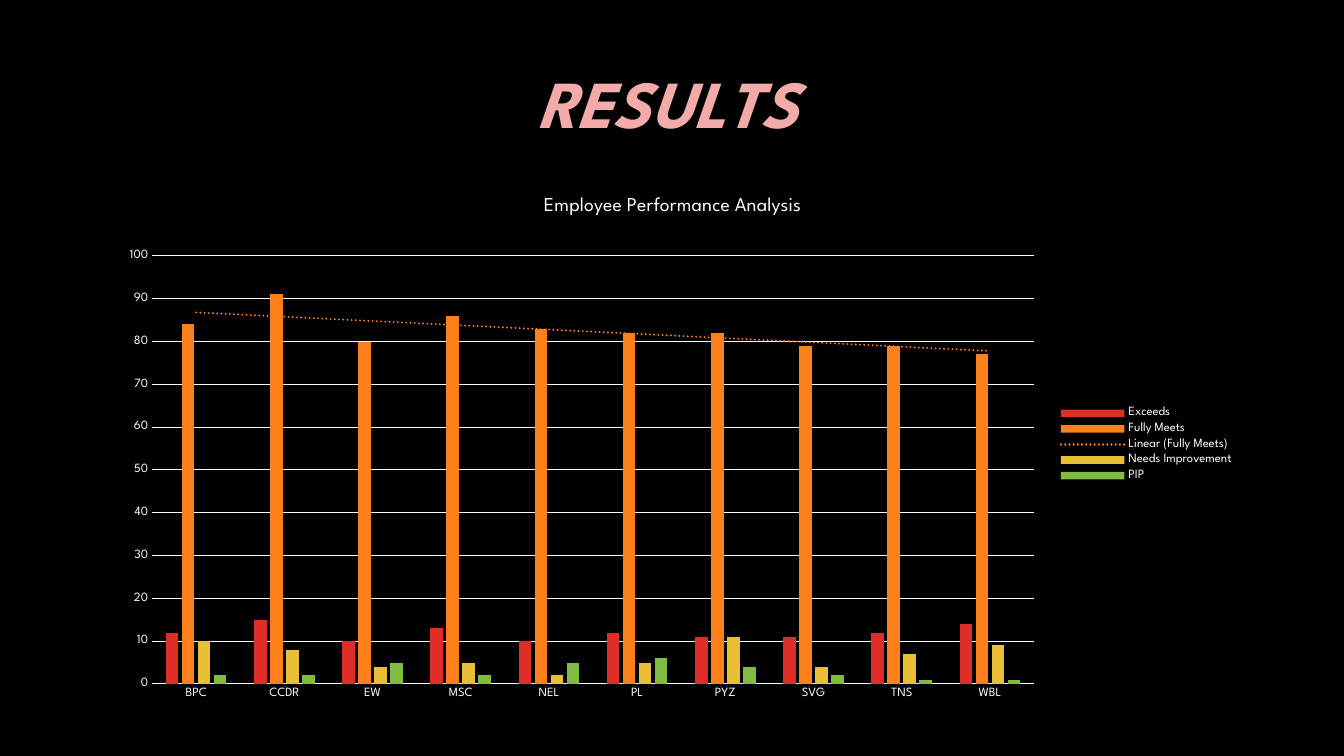
import pptx
import pptx.chart.data
import pptx.dml.color
import pptx.enum.chart
import pptx.enum.text
import pptx.oxml
import pptx.oxml.ns
import pptx.util

Pt = pptx.util.Pt
qn = pptx.oxml.ns.qn
xl = pptx.enum.chart
FACE = "League Spartan"
WHITE = "FFFFFF"
ORANGE = "FE801A"
AREA = (76.3, 127.4, 812.2, 380.2)
PLOT = (108.6, 182.9, 630, 305.7)
HEAD = (386, 137)

UNITS = ["BPC", "CCDR", "EW", "MSC", "NEL", "PL", "PYZ", "SVG", "TNS", "WBL"]
RATINGS = [
    ("Exceeds", "DF2E28", [12, 15, 10, 13, 10, 12, 11, 11, 12, 14]),
    ("Fully Meets", ORANGE, [84, 91, 80, 86, 83, 82, 82, 79, 79, 77]),
    ("Needs Improvement", "E9BF35", [10, 8, 4, 5, 2, 5, 11, 4, 7, 9]),
    ("PIP", "81BB42", [2, 2, 5, 2, 5, 6, 4, 2, 1, 1]),
]


def color(code):
    return pptx.dml.color.RGBColor.from_string(code)


def style(font, size, code=WHITE, bold=False, italic=False):
    font.name, font.size = FACE, Pt(size)
    font.bold, font.italic = bold, italic
    font.color.rgb = color(code)


def write(para, text, space=None, **look):
    """Add a run; space is the letter spacing in points."""
    run = para.add_run()
    run.text = text
    style(run.font, **look)
    if space is not None:
        run.font._element.set("spc", str(round(space * 100)))


def node(body):
    """Parse chart XML whose elements use the c and a prefixes."""
    tag, rest = body.split(">", 1)
    return pptx.oxml.parse_xml(f"{tag} {pptx.oxml.ns.nsdecls('c', 'a')}>{rest}")


def pin(owner, spot, box, inner=False):
    """Fix a chart part at a slide position given in points."""
    old = owner.find(qn("c:layout"))
    if old is not None:
        owner.remove(old)
    left, top, wide, high = AREA
    parts = [(box[0] - left) / wide, (box[1] - top) / high]
    parts += [size / full for size, full in zip(box[2:], (wide, high))]
    body = '<c:layoutTarget val="inner"/>' if inner else ""
    body += "".join(f'<c:{key}Mode val="edge"/>' for key in "xy")
    body += "".join(f'<c:{key} val="{part:.4f}"/>' for key, part in zip("xywh", parts))
    owner.insert(spot, node(f"<c:layout><c:manualLayout>{body}</c:manualLayout></c:layout>"))


class Deck:
    def __init__(self, back):
        self.file = pptx.Presentation()
        self.file.slide_width, self.file.slide_height = Pt(960), Pt(540)
        self.slide = self.file.slides.add_slide(self.file.slide_layouts[5])
        fill = self.slide.background.fill
        fill.solid()
        fill.fore_color.rgb = color(back)

    def title(self, box, parts, **look):
        shape = self.slide.shapes.title
        shape.left, shape.top, shape.width, shape.height = map(Pt, box)
        frame = shape.text_frame
        frame.word_wrap = True
        frame.auto_size = pptx.enum.text.MSO_AUTO_SIZE.NONE
        frame.vertical_anchor = pptx.enum.text.MSO_ANCHOR.BOTTOM
        para = frame.paragraphs[0]
        para.alignment = pptx.enum.text.PP_ALIGN.LEFT
        for text, space in parts:
            write(para, text, space, **look)

    def chart(self, head):
        data = pptx.chart.data.CategoryChartData()
        data.categories = UNITS
        for name, _, vals in RATINGS:
            data.add_series(name, vals)
        kind = xl.XL_CHART_TYPE.COLUMN_CLUSTERED
        chart = self.slide.shapes.add_chart(kind, *map(Pt, AREA), data).chart
        style(chart.font, 10)
        write(chart.chart_title.text_frame.paragraphs[0], head, size=14)
        chart.chart_title.include_in_layout = False
        pin(chart.chart_title._element, 1, HEAD)
        plot = chart.plots[0]
        plot.vary_by_categories = False
        plot.gap_width, plot.overlap = 219, -27
        pin(plot._element.getparent(), 0, PLOT, inner=True)
        for bars, (_, code, _) in zip(plot.series, RATINGS):
            bars.invert_if_negative = False
            bars.format.fill.solid()
            bars.format.fill.fore_color.rgb = color(code)
        self.trend(plot.series[1], ORANGE)
        self.axes(chart)
        chart.has_legend = True
        chart.legend.position = xl.XL_LEGEND_POSITION.RIGHT
        chart.legend.include_in_layout = False
        style(chart.legend.font, 9)

    def trend(self, bars, code):
        line = node(
            '<c:trendline><c:spPr><a:ln w="19050" cap="rnd"><a:solidFill>'
            f'<a:srgbClr val="{code}"/></a:solidFill><a:prstDash val="sysDot"/></a:ln></c:spPr>'
            '<c:trendlineType val="linear"/><c:dispRSqr val="0"/><c:dispEq val="0"/></c:trendline>'
        )
        bars._element.find(qn("c:cat")).addprevious(line)

    def axes(self, chart):
        units, scale = chart.category_axis, chart.value_axis
        for axis in (units, scale):
            axis.major_tick_mark = axis.minor_tick_mark = xl.XL_TICK_MARK.NONE
            style(axis.tick_labels.font, 9)
        scale.minimum_scale, scale.maximum_scale, scale.major_unit = 0, 100, 10
        scale.has_major_gridlines = True
        for line in (units.format.line, scale.major_gridlines.format.line):
            line.color.rgb = color(WHITE)
            line.width = Pt(0.75)
        scale.format.line.fill.background()


def main():
    deck = Deck("000000")
    letters = [("R", None), ("E", -0.4), ("S", 0.1), ("U", -0.3), ("L", -4), ("TS", 0)]
    deck.title((376.6, 39.6, 249.8, 65.5), letters, size=48, code="F2ABA9", bold=True, italic=True)
    deck.chart("Employee Performance Analysis")
    deck.file.save("out.pptx")


if __name__ == "__main__":
    main()
